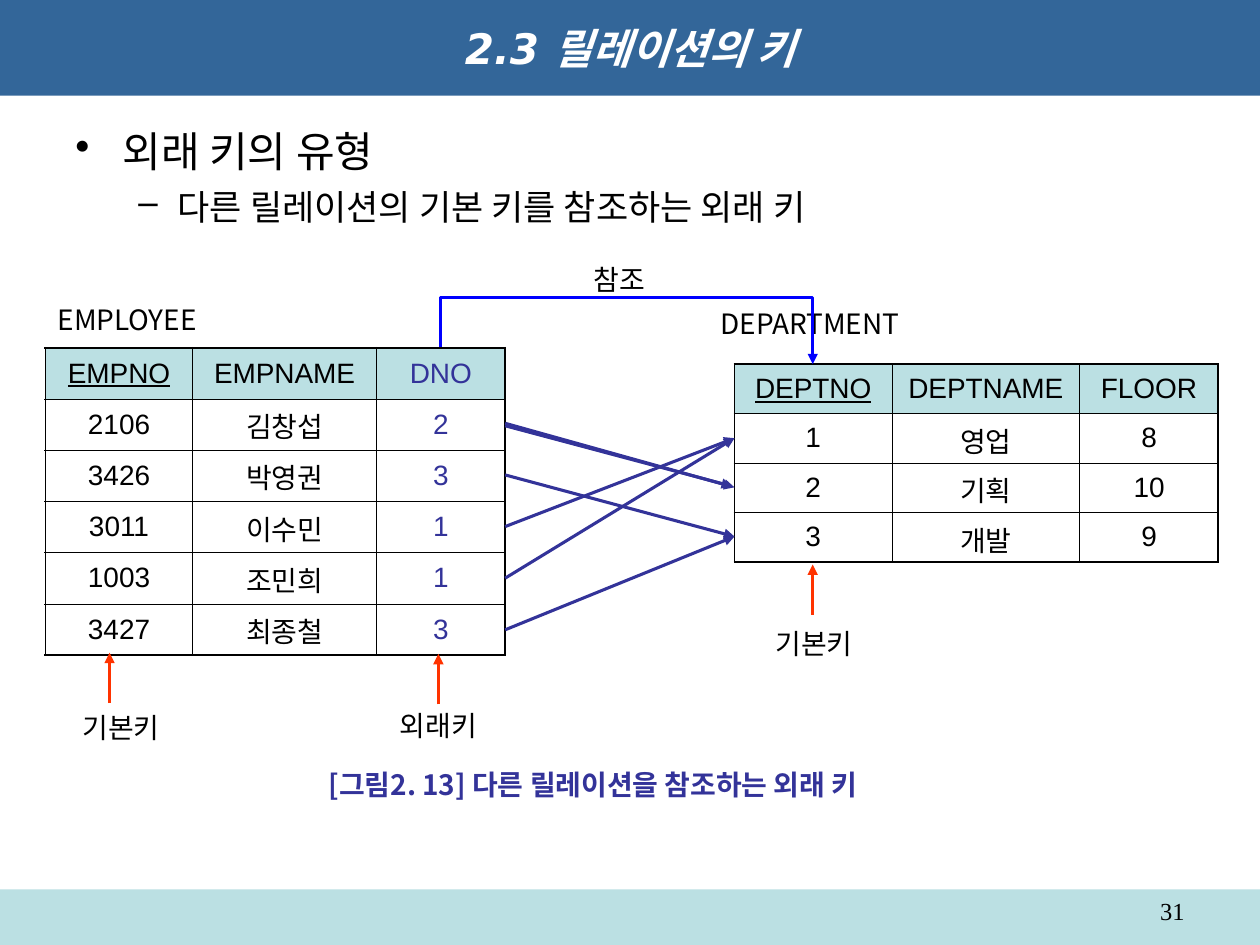
from lxml.etree import SubElement
from pptx import Presentation
from pptx.dml.color import RGBColor
from pptx.enum.shapes import MSO_CONNECTOR, MSO_SHAPE
from pptx.enum.text import MSO_ANCHOR, PP_ALIGN
from pptx.oxml.ns import qn
from pptx.util import Pt

COLORS = {
    "black": "000000", "white": "FFFFFF", "header": "336699", "pale": "BBE0E3",
    "indigo": "333399", "blue": "0000FF", "red": "FF3300",
}
EMPLOYEES = [
    ("EMPNO", "EMPNAME", "DNO"),
    ("2106", "김창섭", "2"),
    ("3426", "박영권", "3"),
    ("3011", "이수민", "1"),
    ("1003", "조민희", "1"),
    ("3427", "최종철", "3"),
]
DEPARTMENTS = [
    ("DEPTNO", "DEPTNAME", "FLOOR"),
    ("1", "영업", "8"),
    ("2", "기획", "10"),
    ("3", "개발", "9"),
]


def rgb(name):
    """Return the named colour."""
    return RGBColor.from_string(COLORS[name])


def format_paragraph(paragraph, size, font, color="black", align=None, bold=None):
    """Format the runs and the alignment of a paragraph."""
    paragraph.alignment = align
    for run in paragraph.runs:
        run.font.size = Pt(size)
        run.font.name = font
        run.font.bold = bold
        run.font.color.rgb = rgb(color)


def add_text(slide, box, text, font, size=16, color="black", align=None,
             bold=None, margins=(7.2, 3.6), wrap=False):
    """Add a text box with one paragraph."""
    shape = slide.shapes.add_textbox(*map(Pt, box))
    frame = shape.text_frame
    frame.word_wrap = wrap
    frame.margin_left = frame.margin_right = Pt(margins[0])
    frame.margin_top = frame.margin_bottom = Pt(margins[1])
    frame.text = text
    format_paragraph(frame.paragraphs[0], size, font, color, align, bold)


def add_label(slide, box, text):
    """Add a small centred label for a key or a reference."""
    add_text(slide, box, text, "DejaVu Sans", align=PP_ALIGN.CENTER, margins=(2.88, 2.88))


def add_bar(slide, box, color):
    """Add a flat band of colour."""
    shape = slide.shapes.add_shape(MSO_SHAPE.RECTANGLE, *map(Pt, box))
    shape.shadow.inherit = False
    shape.fill.solid()
    shape.fill.fore_color.rgb = rgb(color)
    shape.line.fill.background()
    return shape


def add_title(slide, box, text):
    """Add the title band."""
    shape = add_bar(slide, box, "header")
    frame = shape.text_frame
    frame.vertical_anchor = MSO_ANCHOR.MIDDLE
    frame.text = text
    format_paragraph(frame.paragraphs[0], 24, "DejaVu Sans", "white", PP_ALIGN.CENTER, True)
    frame.paragraphs[0].runs[0].font.italic = True


def add_footer(slide, box, number):
    """Add the bottom band with the page number."""
    left, top, width, height = box
    add_bar(slide, box, "pale")
    add_text(slide, (left + width - 204, top, 168, 21), number, "Times New Roman",
             14, align=PP_ALIGN.RIGHT, wrap=True)


def add_bullets(slide, box, items):
    """Add bulleted text from rows of text, size, bullet, margin, indent and gap."""
    frame = slide.shapes.add_textbox(*map(Pt, box)).text_frame
    frame.word_wrap = True
    for index, (text, size, bullet, margin, indent, gap) in enumerate(items):
        paragraph = frame.add_paragraph() if index else frame.paragraphs[0]
        paragraph.text = text
        paragraph.level = index
        properties = paragraph._p.get_or_add_pPr()
        properties.set("marL", str(Pt(margin)))
        properties.set("indent", str(Pt(-indent)))
        SubElement(properties, qn("a:buChar"), char=bullet)
        if gap:
            paragraph.space_before = Pt(gap)
        format_paragraph(paragraph, size, "Arial")


def set_borders(cell, widths):
    """Draw the left, right, top and bottom borders of a cell."""
    properties = cell._tc.get_or_add_tcPr()
    for side, width in zip("LRTB", widths):
        line = SubElement(properties, qn(f"a:ln{side}"), w=str(Pt(width)))
        fill = SubElement(line, qn("a:solidFill"))
        SubElement(fill, qn("a:srgbClr"), val=COLORS["black"])


def add_relation(slide, box, rows, column_widths, foreign_key=None):
    """Add a relation as a table with its primary key underlined."""
    table = slide.shapes.add_table(len(rows), len(rows[0]), *map(Pt, box)).table
    table.first_row = table.horz_banding = False
    for column, width in zip(table.columns, column_widths):
        column.width = Pt(width)
    last_row, last_column = len(rows) - 1, len(rows[0]) - 1
    for r, values in enumerate(rows):
        table.rows[r].height = Pt(box[3] / len(rows))
        for c, value in enumerate(values):
            cell = table.cell(r, c)
            outer = (c == 0, c == last_column, r == 0, r == last_row)
            set_borders(cell, [1.08 if edge else 0.45 for edge in outer])
            if r == 0:
                cell.fill.solid()
                cell.fill.fore_color.rgb = rgb("pale")
            else:
                cell.fill.background()
            cell.vertical_anchor = MSO_ANCHOR.MIDDLE
            cell.text = value
            paragraph = cell.text_frame.paragraphs[0]
            color = "indigo" if c == foreign_key else "black"
            format_paragraph(paragraph, 16, "Arial", color, PP_ALIGN.CENTER)
            if r == c == 0:
                paragraph.runs[0].font.underline = True


def add_arrow(slide, start, end, color, kind=MSO_CONNECTOR.STRAIGHT):
    """Add a connector with an arrowhead at its end."""
    connector = slide.shapes.add_connector(kind, *map(Pt, (*start, *end)))
    connector.line.width = Pt(1.75)
    connector.line.color.rgb = rgb(color)
    SubElement(connector.line._get_or_add_ln(), qn("a:tailEnd"), type="triangle")
    SubElement(connector._element.spPr, qn("a:effectLst"))
    return connector


def add_reference_path(slide, start, end, peak):
    """Add an elbow arrow that rises to a peak and drops onto its end."""
    connector = add_arrow(slide, start, end, "blue", MSO_CONNECTOR.ELBOW)
    span, drop = end[0] - start[0], end[1] - start[1]
    connector.left = Pt((start[0] + end[0] - drop) / 2)
    connector.top = Pt((start[1] + end[1] - span) / 2)
    connector.width, connector.height = Pt(drop), Pt(span)
    properties = connector._element.spPr
    transform = properties.find(qn("a:xfrm"))
    transform.set("rot", "16200000")
    transform.set("flipH", "1")
    adjustments = properties.find(qn("a:prstGeom")).get_or_add_avLst()
    ratio = round((peak - start[1]) / drop * 100000)
    SubElement(adjustments, qn("a:gd"), name="adj1", fmla=f"val {ratio}")


def add_row_references(slide, box):
    """Join each employee row to the department that it refers to."""
    left, top, width, height = box
    step = height / 4
    add_arrow(slide, (left, top + 1.4), (left + width - 1.4, top + 36), "indigo")
    for index, employee in enumerate(EMPLOYEES[1:]):
        target = top + 8.5 + 28.1 * (int(employee[2]) - 1)
        add_arrow(slide, (left, top + index * step), (left + width, target), "indigo")


def add_key_marker(slide, box, text, arrow_x, arrow_bottom):
    """Add a key label and the red arrow above it."""
    add_label(slide, box, text)
    add_arrow(slide, (arrow_x, arrow_bottom), (arrow_x, arrow_bottom - 28.8), "red")


def add_diagram(slide, box):
    """Add both relations with their names, keys and references."""
    left, top = box[:2]
    add_relation(slide, (left, top + 51.8, 262.8, 175.7), EMPLOYEES, (84.2, 105.1, 73.5), 2)
    add_text(slide, (left, top + 22.3, 95, 26.6), "EMPLOYEE", "Noto Sans CJK JP")
    add_relation(slide, (left + 393.8, top + 61.2, 276.5, 113), DEPARTMENTS, (90, 107.3, 79.2))
    add_text(slide, (left + 378.7, top + 24.5, 118, 26.6), "DEPARTMENT", "Noto Sans CJK JP")
    markers = [
        (17.3, 256.3, "기본키", 36.7, 254.9),
        (198.7, 254.9, "외래키", 224.6, 255.6),
        (413.3, 208.1, "기본키", 438.5, 204.5),
    ]
    for x, y, text, arrow_x, arrow_y in markers:
        add_key_marker(slide, (left + x, top + y, 51.8, 25.2), text,
                       left + arrow_x, top + arrow_y)
    add_row_references(slide, (left + 262.8, top + 95, 131, 118))
    add_text(slide, (left + 154.8, top + 288, 373.7, 26.6),
             "[그림2. 13] 다른 릴레이션을 참조하는 외래 키", "Noto Sans CJK KR",
             color="indigo", align=PP_ALIGN.JUSTIFY, bold=True, wrap=True)
    add_reference_path(slide, (left + 226, top + 51.2), (left + 438.5, top + 61.2), top + 23)
    add_label(slide, (left + 309.6, top, 36.7, 25.2), "참조")


def main():
    """Build and save the slide."""
    presentation = Presentation()
    presentation.slide_width, presentation.slide_height = Pt(720), Pt(540)
    slide = presentation.slides.add_slide(presentation.slide_layouts[6])
    add_footer(slide, (0, 508.3, 720, 31.7), "31")
    add_title(slide, (0, 0, 720, 54.7), "2.3 릴레이션의 키")
    add_bullets(slide, (36, 68.4, 648, 428.4), [
        ("외래 키의 유형", 24, "•", 27, 27, 0),
        ("다른 릴레이션의 기본 키를 참조하는 외래 키", 20, "–", 58.5, 22.5, 5),
    ])
    add_diagram(slide, (25.9, 146.9, 670.3, 314.6))
    presentation.save("out.pptx")


if __name__ == "__main__":
    main()
